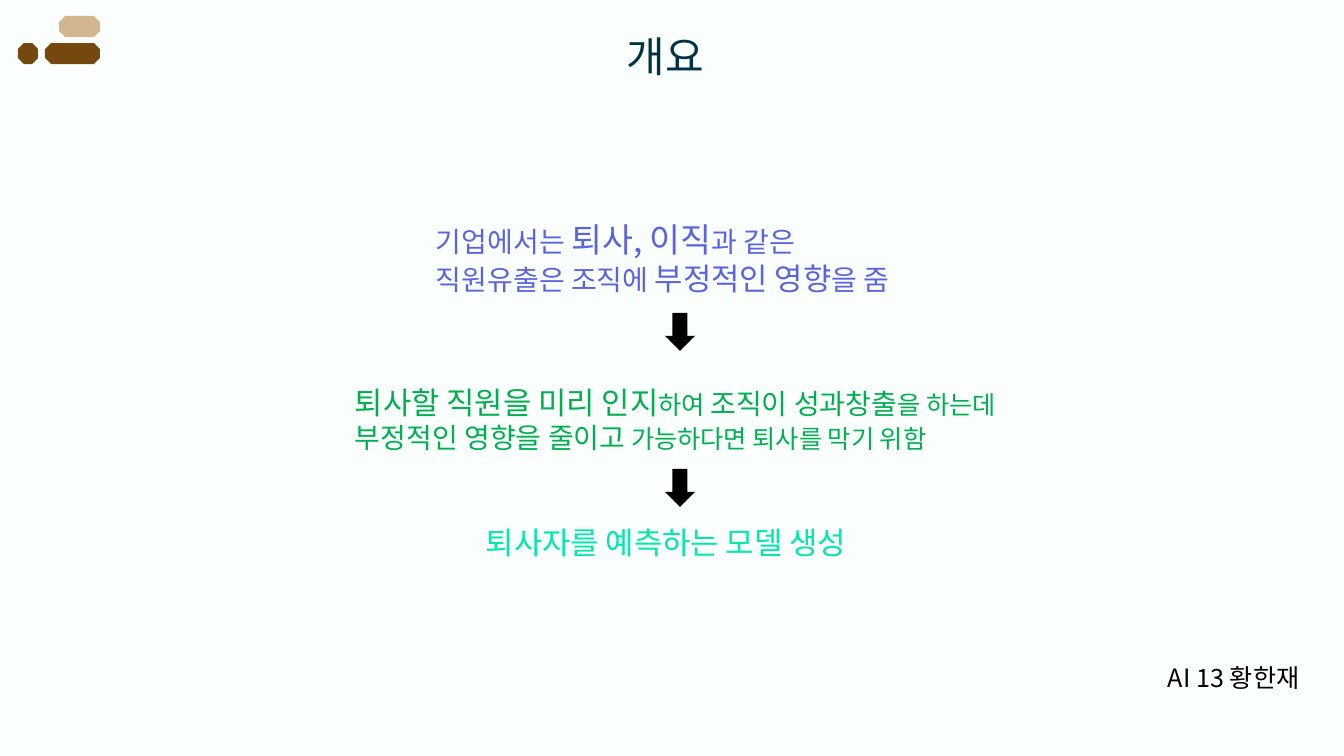
from pptx import Presentation
from pptx import util as u
from pptx.dml.color import RGBColor
from pptx.enum import shapes, text
from pptx.oxml.ns import qn
from lxml import etree

SCALE = 914400 / 100.8


def px(n):
    """Turn pixels into EMU."""
    return u.Emu(round(n * SCALE))


def paint(fill, hue):
    """Give a fill one solid colour."""
    fill.solid()
    fill.fore_color.rgb = RGBColor.from_string(hue)


class Page:
    """Holds the style and the current slide."""

    font = "Noto Sans CJK KR"
    back = "FAFFFD"

    def __init__(self, deck):
        """Add a blank slide with the page colour."""
        self.slide = deck.slides.add_slide(deck.slide_layouts[6])
        paint(self.slide.background.fill, self.back)

    def shape(self, kind, box, hue, turn=0):
        """Add a plain filled preset shape."""
        item = self.slide.shapes.add_shape(kind, *map(px, box))
        item.shadow.inherit = False
        item.rotation = turn
        paint(item.fill, hue)
        item.line.fill.background()

    def label(self, lines, box, hue="000000", wrap=False):
        """Add a text box; each line is a list of (words, size) runs."""
        frame = self.slide.shapes.add_textbox(*map(px, box)).text_frame
        frame.word_wrap = wrap
        frame.auto_size = text.MSO_AUTO_SIZE.SHAPE_TO_FIT_TEXT
        for i, line in enumerate(lines):
            para = frame.add_paragraph() if i else frame.paragraphs[0]
            for words, size in line:
                run = para.add_run()
                run.text = words
                run.font.size = u.Pt(size)
                run.font.name = self.font
                paint(run.font.fill, hue)
                east = etree.SubElement(run.font._element, qn("a:ea"))
                east.set("typeface", self.font)


deck = Presentation()
deck.slide_width, deck.slide_height = px(1344), px(756)
page = Page(deck)

# Corner mark
BROWN, TAN = "75490D", "D2B68F"
for left, top, wide, hue in [(45, 43, 55, BROWN), (18, 43, 20, BROWN),
                             (59, 16, 41, TAN)]:
    page.shape(shapes.MSO_SHAPE.OCTAGON, (left, top, wide, 21), hue)

page.label([[("개요", 30)]], (617, 26, 110, 61), "003243", wrap=True)
page.label([[("AI 13 황한재", 18)]], (1158, 657, 167, 40), wrap=True)

# Reasoning steps
page.label([[("기업에서는 ", 20), ("퇴사, 이직", 24), ("과 같은", 20)],
            [("직원유출은 조직에 ", 20), ("부정적인 영향", 22), ("을 줌", 20)]],
           (426, 214, 509, 89), "5B64DE")
page.label([[("퇴사할 직원을 미리 인지", 22), ("하여 ", 18),
             ("조직이 성과창출", 20), ("을 하는데", 18)],
            [("부정적인 영향을 줄이고", 20),
             (" 가능하다면 퇴사를 막기 위함", 18)]],
           (345, 379, 711, 82), "00B050")
page.label([[("퇴사자를 예측하는 모델 생성", 22)]],
           (476, 519, 408, 47), "02E7AC")

for top in (317, 473):
    page.shape(shapes.MSO_SHAPE.RIGHT_ARROW, (661, top, 38, 30),
               "000000", turn=90)

deck.save("out.pptx")
